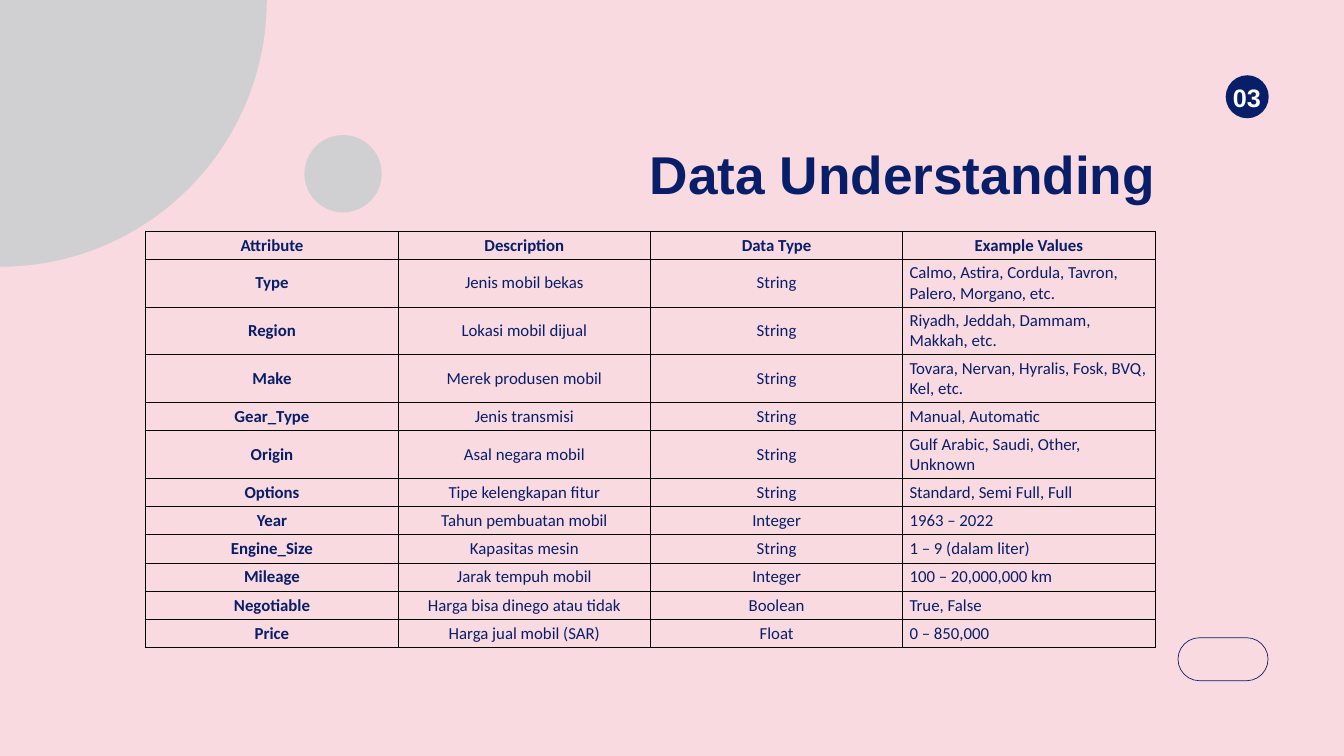
from dataclasses import dataclass

import lxml.etree
import pptx
import pptx.dml.color
import pptx.enum.shapes
import pptx.enum.text
import pptx.oxml.ns
import pptx.util

Inches = pptx.util.Inches
Pt = pptx.util.Pt
Align = pptx.enum.text.PP_ALIGN
Anchor = pptx.enum.text.MSO_ANCHOR
Shape = pptx.enum.shapes.MSO_SHAPE


@dataclass(frozen=True)
class Theme:
    background: str = "F8DAE0"
    navy: str = "091E69"
    grey: str = "D0D0D3"
    white: str = "FFFFFF"
    border: str = "000000"
    display_font: str = "Arial"
    table_font: str = "Calibri"
    title_size: int = 57
    badge_size: int = 27
    table_size: int = 18
    outline_width: float = 0.75
    border_width: float = 1


HEADERS = ("Attribute", "Description", "Data Type", "Example Values")
ATTRIBUTES = (
    ("Type", "Jenis mobil bekas", "String", "Calmo, Astira, Cordula, Tavron, Palero, Morgano, etc."),
    ("Region", "Lokasi mobil dijual", "String", "Riyadh, Jeddah, Dammam, Makkah, etc."),
    ("Make", "Merek produsen mobil", "String", "Tovara, Nervan, Hyralis, Fosk, BVQ, Kel, etc."),
    ("Gear_Type", "Jenis transmisi", "String", "Manual, Automatic"),
    ("Origin", "Asal negara mobil", "String", "Gulf Arabic, Saudi, Other, Unknown"),
    ("Options", "Tipe kelengkapan fitur", "String", "Standard, Semi Full, Full"),
    ("Year", "Tahun pembuatan mobil", "Integer", "1963 – 2022"),
    ("Engine_Size", "Kapasitas mesin", "String", "1 – 9 (dalam liter)"),
    ("Mileage", "Jarak tempuh mobil", "Integer", "100 – 20,000,000 km"),
    ("Negotiable", "Harga bisa dinego atau tidak", "Boolean", "True, False"),
    ("Price", "Harga jual mobil (SAR)", "Float", "0 – 850,000"),
)
TWO_LINE_ATTRIBUTES = {"Type", "Region", "Make", "Origin"}
ROW_HEIGHT = 0.42
TWO_LINE_HEIGHT = 0.71


def rgb(color):
    return pptx.dml.color.RGBColor.from_string(color)


class SlideBuilder:
    def __init__(self, slide, theme):
        self.slide = slide
        self.theme = theme

    def background(self):
        fill = self.slide.background.fill
        fill.solid()
        fill.fore_color.rgb = rgb(self.theme.background)

    def shape(self, kind, left, top, width, height, fill=None, line=None):
        shape = self.slide.shapes.add_shape(
            kind, Inches(left), Inches(top), Inches(width), Inches(height))
        shape.shadow.inherit = False
        if fill:
            shape.fill.solid()
            shape.fill.fore_color.rgb = rgb(fill)
        else:
            shape.fill.background()
        if line:
            shape.line.color.rgb = rgb(line)
            shape.line.width = Pt(self.theme.outline_width)
        else:
            shape.line.fill.background()
        return shape

    def circle(self, left, top, diameter, fill):
        return self.shape(Shape.OVAL, left, top, diameter, diameter, fill=fill)

    def pill(self, left, top, width, height):
        shape = self.shape(Shape.ROUNDED_RECTANGLE, left, top, width, height, line=self.theme.navy)
        shape.adjustments[0] = 0.5

    def style(self, paragraph, font, size, color, bold, align):
        paragraph.alignment = align
        paragraph.font.name = font
        paragraph.font.size = Pt(size)
        paragraph.font.bold = bold
        paragraph.font.color.rgb = rgb(color)

    def heading(self, text, left, top, width, height, size, color, align):
        box = self.slide.shapes.add_textbox(
            Inches(left), Inches(top), Inches(width), Inches(height))
        frame = box.text_frame
        frame.word_wrap = True
        frame.margin_left = frame.margin_right = frame.margin_top = frame.margin_bottom = 0
        paragraph = frame.paragraphs[0]
        paragraph.text = text
        paragraph.line_spacing = Pt(size * 1.2)
        self.style(paragraph, self.theme.display_font, size, color, True, align)

    def cell_borders(self, cell):
        properties = cell._tc.get_or_add_tcPr()
        for side in ("lnL", "lnR", "lnT", "lnB"):
            line = lxml.etree.SubElement(
                properties, pptx.oxml.ns.qn(f"a:{side}"), w=str(Pt(self.theme.border_width)))
            fill = lxml.etree.SubElement(line, pptx.oxml.ns.qn("a:solidFill"))
            lxml.etree.SubElement(fill, pptx.oxml.ns.qn("a:srgbClr"), val=self.theme.border)

    def table(self, rows, heights, left, top, width):
        table = self.slide.shapes.add_table(
            len(rows), len(rows[0]), Inches(left), Inches(top),
            Inches(width), Inches(sum(heights))).table
        table.first_row = False
        table.horz_banding = False
        for row, height in zip(table.rows, heights):
            row.height = Inches(height)
        for row_index, values in enumerate(rows):
            for column_index, value in enumerate(values):
                cell = table.cell(row_index, column_index)
                self.cell_borders(cell)
                cell.fill.solid()
                cell.fill.fore_color.rgb = rgb(self.theme.background)
                cell.vertical_anchor = Anchor.MIDDLE
                cell.text = value
                is_header = row_index == 0
                is_example = column_index == len(values) - 1
                self.style(
                    cell.text_frame.paragraphs[0], self.theme.table_font,
                    self.theme.table_size, self.theme.navy,
                    is_header or column_index == 0,
                    Align.LEFT if is_example and not is_header else Align.CENTER)


def main():
    theme = Theme()
    presentation = pptx.Presentation()
    presentation.slide_width = Inches(20)
    presentation.slide_height = Inches(11.25)
    slide = presentation.slides.add_slide(presentation.slide_layouts[6])
    builder = SlideBuilder(slide, theme)

    builder.background()
    builder.circle(-3.98, -3.98, 7.95, theme.grey)
    builder.circle(4.53, 2.01, 1.15, theme.grey)
    builder.circle(18.24, 1.12, 0.64, theme.navy)
    builder.pill(17.53, 9.49, 1.34, 0.64)
    builder.heading("Data Understanding", 7.83, 2.11, 9.36, 0.95,
                    theme.title_size, theme.navy, Align.RIGHT)
    builder.heading("03", 18.32, 1.23, 0.47, 0.51,
                    theme.badge_size, theme.white, Align.CENTER)

    rows = (HEADERS, *ATTRIBUTES)
    heights = [TWO_LINE_HEIGHT if row[0] in TWO_LINE_ATTRIBUTES else ROW_HEIGHT for row in rows]
    builder.table(rows, heights, 2.17, 3.44, 15.02)

    presentation.save("out.pptx")


if __name__ == "__main__":
    main()
